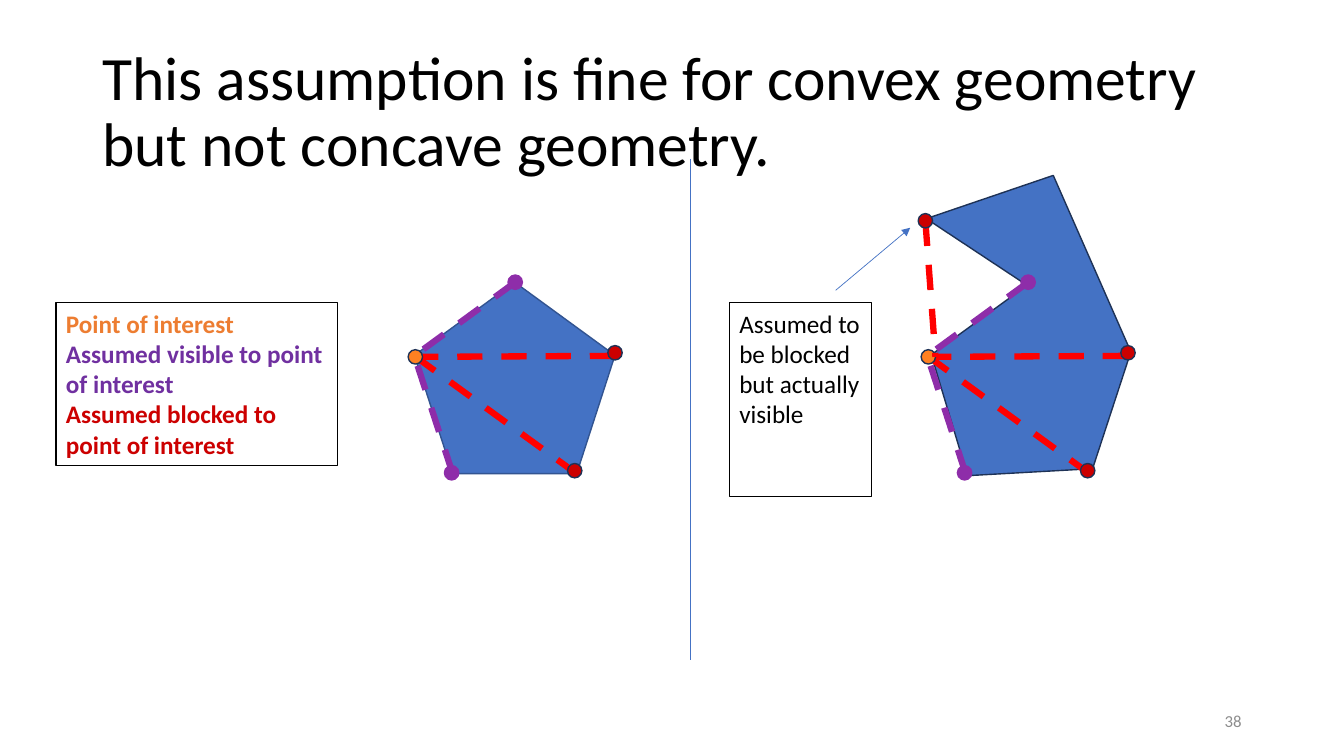
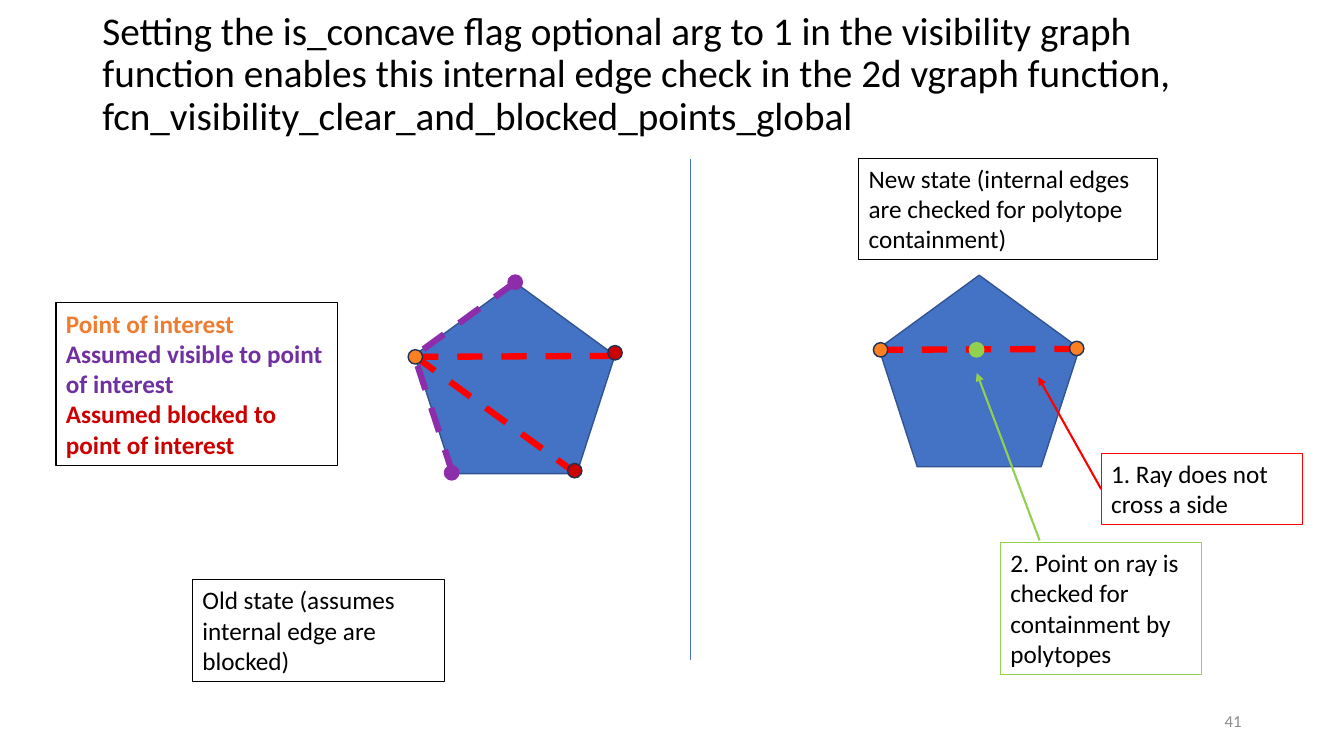
from lxml import etree
from pptx import Presentation
from pptx.dml.color import RGBColor
from pptx.enum.dml import MSO_LINE
from pptx.enum.shapes import MSO_CONNECTOR, MSO_SHAPE
from pptx.enum.text import MSO_ANCHOR, PP_ALIGN
from pptx.oxml.ns import qn
from pptx.util import Pt

STRAIGHT = MSO_CONNECTOR.STRAIGHT
PENTAGON, OVAL = MSO_SHAPE.REGULAR_PENTAGON, MSO_SHAPE.OVAL
RECTANGLE = MSO_SHAPE.RECTANGLE
TOP, MIDDLE = MSO_ANCHOR.TOP, MSO_ANCHOR.MIDDLE
LEFT, RIGHT = PP_ALIGN.LEFT, PP_ALIGN.RIGHT
DASH = MSO_LINE.DASH

FONT = "Calibri"
COLORS = {
    "black": "000000", "gray": "8C8C8C", "blue": "4472C4",
    "pentagon_edge": "325491", "dark_edge": "1E3256",
    "ray_blocked": "FF0000", "visible": "8E2DA9", "blocked": "CC0000",
    "interest": "FF8021", "check": "92D050",
    "interest_text": "ED7D31", "visible_text": "7030A0",
}

# Positions inside a figure, measured from the corner of its pentagon box
PENTAGON_SIZE = (143.3, 136.8)
DOT_SIZE = 10.3
INTEREST = (0, 52.6)
CROSS_RAY = ((143.3, 52.6), (5.8, 53.3), "ray_blocked")
RAYS = [
    (INTEREST, (115.9, 136.8), "ray_blocked"),
    CROSS_RAY,
    ((27.4, 136.8), INTEREST, "visible"),
    ((72, 0), INTEREST, "visible"),
]
DOTS = [
    ((143.3, 50.4), "blocked"),
    ((72, 0), "visible"),
    ((114.5, 134.6), "blocked"),
    ((26.6, 136.1), "visible"),
    ((0.7, 53.3), "interest"),
]
CONCAVE_OUTLINE = [(2.9, 51.8), (71.3, 2.2), (-0.7, -45.4), (90, -76.3),
                   (145.4, 49.7), (118.1, 133.2), (28.8, 138.2)]

OLD_ORIGIN = (296, 201.6)
CONCAVE_ORIGIN = (662.4, 201.6)
NEW_ORIGIN = (627.8, 196.6)


def rgb(name):
    return RGBColor.from_string(COLORS[name])


def shift(origin, point):
    return origin[0] + point[0], origin[1] + point[1]


def style_shape(shape, fill, edge, width=1):
    shape.shadow.inherit = False
    if fill:
        shape.fill.solid()
        shape.fill.fore_color.rgb = rgb(fill)
    else:
        shape.fill.background()
    shape.line.color.rgb = rgb(edge)
    shape.line.width = Pt(width)


def add_shape(page, kind, box, fill, edge, width=1):
    shape = page.shapes.add_shape(kind, *map(Pt, box))
    style_shape(shape, fill, edge, width)
    return shape


def write_text(shape, paragraphs, size=18, bold=False, anchor=TOP,
               align=LEFT, spacing=1.0):
    """Fill a shape with (text, colour) paragraphs."""
    frame = shape.text_frame
    frame.word_wrap = True
    frame.vertical_anchor = anchor
    for index, (text, color) in enumerate(paragraphs):
        para = frame.paragraphs[0] if index == 0 else frame.add_paragraph()
        para.alignment = align
        para.line_spacing = spacing
        span = para.add_run()
        span.text = text
        span.font.name = FONT
        span.font.size = Pt(size)
        span.font.bold = bold
        span.font.color.rgb = rgb(color)


def add_text(page, box, text, color="black", **text_format):
    write_text(page.shapes.add_textbox(*map(Pt, box)), [(text, color)],
               **text_format)


def add_note(page, box, paragraphs, edge="black", **text_format):
    frame = add_shape(page, RECTANGLE, box, None, edge, 0.75)
    write_text(frame, paragraphs, **text_format)


def add_line(page, start, end, color, width, dashed=False, arrow=False):
    line = page.shapes.add_connector(STRAIGHT, *map(Pt, (*start, *end)))
    line.line.color.rgb = rgb(color)
    line.line.width = Pt(width)
    if dashed:
        line.line.dash_style = DASH
    if arrow:
        etree.SubElement(line.line._get_or_add_ln(), qn("a:tailEnd"),
                         type="triangle")
    etree.SubElement(line._element.spPr, qn("a:effectLst"))


def add_pentagon(page, origin):
    add_shape(page, PENTAGON, (*origin, *PENTAGON_SIZE), "blue",
              "pentagon_edge")


def add_concave_polygon(page, origin):
    corners = [tuple(map(Pt, shift(origin, point)))
               for point in CONCAVE_OUTLINE]
    builder = page.shapes.build_freeform(*corners[0])
    builder.add_line_segments(corners[1:], close=True)
    style_shape(builder.convert_to_shape(), "blue", "dark_edge")


def add_rays(page, origin, rays):
    for start, end, color in rays:
        add_line(page, shift(origin, start), shift(origin, end), color, 4.5,
                 dashed=True)


def add_dots(page, origin, dots):
    for center, color in dots:
        left, top = shift(origin, center)
        edge = color if color in ("visible", "check") else "dark_edge"
        box = (left - DOT_SIZE / 2, top - DOT_SIZE / 2, DOT_SIZE, DOT_SIZE)
        add_shape(page, OVAL, box, color, edge)


def add_base(deck, title, number, title_box, title_size):
    """Add a page with title, number, divider, legend and convex figure."""
    page = deck.slides.add_slide(deck.slide_layouts[6])
    add_pentagon(page, OLD_ORIGIN)
    add_rays(page, OLD_ORIGIN, RAYS)
    add_text(page, title_box, title, size=title_size, anchor=MIDDLE,
             spacing=0.9)
    add_text(page, (678, 500.5, 216, 28.8), number, "gray", size=12,
             anchor=MIDDLE, align=RIGHT)
    add_dots(page, OLD_ORIGIN, DOTS)
    add_note(page, (40, 216.4, 201, 116.3), [
        ("Point of interest", "interest_text"),
        ("Assumed visible to point of interest", "visible_text"),
        ("Assumed blocked to point of interest", "blocked"),
    ], bold=True)
    add_line(page, (493.2, 113.4), (493.2, 471.6), "blue", 0.5)
    return page


def add_concave_slide(deck):
    page = add_base(
        deck,
        "This assumption is fine for convex geometry "
        "but not concave geometry.",
        "38", (66, 28.8, 828, 104.4), 44)
    hidden_corner = (-1.4, -43.9)
    add_concave_polygon(page, CONCAVE_ORIGIN)
    add_rays(page, CONCAVE_ORIGIN, RAYS)
    add_dots(page, CONCAVE_ORIGIN, DOTS)
    add_rays(page, CONCAVE_ORIGIN,
             [(hidden_corner, CROSS_RAY[1], "ray_blocked")])
    add_dots(page, CONCAVE_ORIGIN, [(hidden_corner, "blocked")])
    add_line(page, (596.9, 207.4), (650.2, 162.7), "blue", 0.5, arrow=True)
    add_note(page, (521, 216.4, 101.7, 138.2),
             [("Assumed to be blocked but actually visible", "black")])


def add_flag_slide(deck):
    page = add_base(
        deck,
        "Setting the is_concave flag optional arg to 1 in the visibility "
        "graph function enables this internal edge check in the 2d vgraph "
        "function, fcn_visibility_clear_and_blocked_points_global",
        "41", (66, 1.4, 793, 104.4), 28)
    add_pentagon(page, NEW_ORIGIN)
    add_rays(page, NEW_ORIGIN, [CROSS_RAY])
    add_dots(page, NEW_ORIGIN, [
        ((69.8, 53.3), "check"),
        ((1.2, 53.3), "interest"),
        ((141.3, 52.3), "interest"),
    ])
    notes = [
        ((786.6, 324, 143.5, 50.9), "1. Ray does not cross a side",
         "ray_blocked"),
        ((714.6, 387.4, 143.5, 94.3),
         "2. Point on ray is checked for containment by polytopes", "check"),
        ((137.5, 414, 180, 72.7),
         "Old state (assumes internal edge are blocked)", "black"),
        ((613.4, 113, 213.8, 72.7),
         "New state (internal edges are checked for polytope containment)",
         "black"),
    ]
    for box, text, edge in notes:
        add_note(page, box, [(text, "black")], edge)
    add_line(page, (786.6, 349.4), (741.6, 269.3), "ray_blocked", 1.5,
             arrow=True)
    add_line(page, (742.6, 386), (697.7, 266.4), "check", 1.5, arrow=True)


def main():
    deck = Presentation()
    deck.slide_width, deck.slide_height = Pt(960), Pt(540)
    add_concave_slide(deck)
    add_flag_slide(deck)
    deck.save("out.pptx")


if __name__ == "__main__":
    main()
